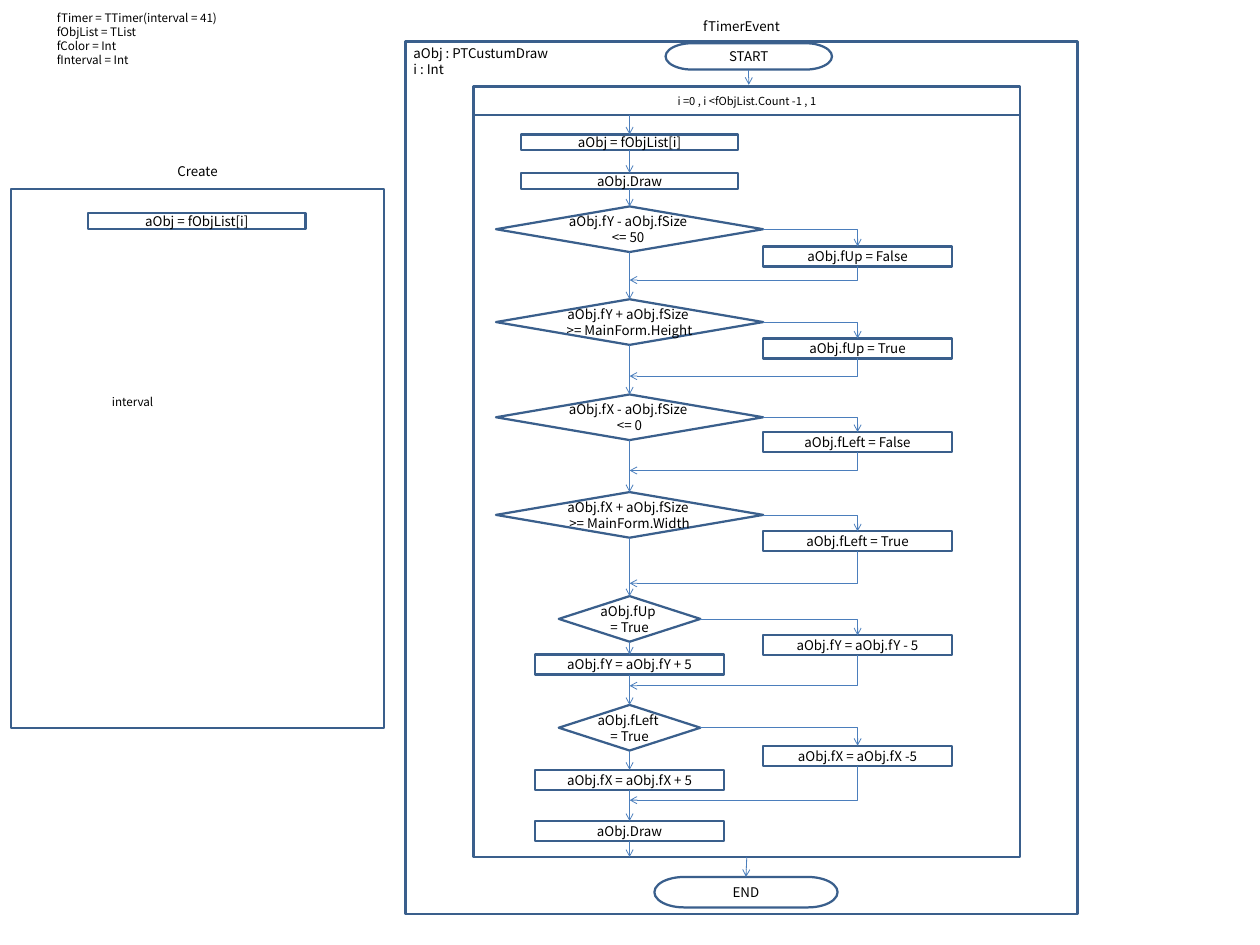
"""Build the flowchart slide of the timer event and its Create panel."""
from lxml import etree
from pptx import Presentation
from pptx.dml.color import RGBColor
from pptx.enum.shapes import MSO_CONNECTOR, MSO_SHAPE
from pptx.enum.text import MSO_ANCHOR, PP_ALIGN
from pptx.oxml.ns import qn
from pptx.util import Inches, Pt

RECT = MSO_SHAPE.RECTANGLE
DECISION = MSO_SHAPE.FLOWCHART_DECISION
TERMINATOR = MSO_SHAPE.FLOWCHART_TERMINATOR
STRAIGHT, ELBOW = MSO_CONNECTOR.STRAIGHT, MSO_CONNECTOR.ELBOW
LEFT, CENTER = PP_ALIGN.LEFT, PP_ALIGN.CENTER
TOP, MIDDLE = MSO_ANCHOR.TOP, MSO_ANCHOR.MIDDLE
TOP_SITE, BOTTOM_SITE, RIGHT_SITE = 0, 2, 3
COLORS = {"outline": "3A5F8C", "arrow": "4B7EBC", "text": "000000"}
FONT = "Noto Sans CJK KR"

prs = Presentation()
prs.slide_width, prs.slide_height = Inches(15.75), Inches(11.81)
slide = prs.slides.add_slide(prs.slide_layouts[6])


def add_block(text, left, top, width, height, kind=None, size=12,
              align=CENTER, anchor=MIDDLE, inset=(0, 0)):
    """Add an outlined shape, or a text box when kind is None."""
    place = [Inches(v) for v in (left, top, width, height)]
    if kind is None:
        block = slide.shapes.add_textbox(*place)
    else:
        block = slide.shapes.add_shape(kind, *place)
        block.shadow.inherit = False
        block.fill.background()
        block.line.color.rgb = RGBColor.from_string(COLORS["outline"])
        block.line.width = Pt(2)
    frame = block.text_frame
    frame.word_wrap = True
    frame.vertical_anchor = anchor
    frame.margin_left = frame.margin_right = Inches(inset[0])
    frame.margin_top = frame.margin_bottom = Inches(inset[1])
    for number, words in enumerate(text.split("\n") if text else []):
        paragraph = frame.add_paragraph() if number else frame.paragraphs[0]
        paragraph.alignment = align
        paragraph.line_spacing = Pt(size * 1.2)
        run = paragraph.add_run()
        run.text = words
        run.font.size = Pt(size)
        run.font.name = FONT
        run.font.color.rgb = RGBColor.from_string(COLORS["text"])
        east_asian = etree.SubElement(run.font._element, qn("a:ea"))
        east_asian.set("typeface", FONT)
    return block


def add_arrow(start, end, bend=None, source=None, target=None):
    """Add an arrow; bend is None, "down" (right, then down) or "back" (down, then left)."""
    (x1, y1), (x2, y2) = start, end
    arrow = slide.shapes.add_connector(ELBOW if bend else STRAIGHT,
                                       *[Inches(v) for v in (x1, y1, x2, y2)])
    arrow.line.color.rgb = RGBColor.from_string(COLORS["arrow"])
    arrow.line.width = Pt(0.75)
    if source:
        arrow.begin_connect(source, RIGHT_SITE if bend else BOTTOM_SITE)
    if target:
        arrow.end_connect(target, TOP_SITE)
    properties = arrow._element.spPr
    if bend:
        properties.find(qn("a:prstGeom")).set("prst", "bentConnector2")
    if bend == "back":
        across, down = x1 - x2, y2 - y1
        transform = properties.find(qn("a:xfrm"))
        transform.attrib.pop("flipH", None)
        transform.set("rot", str(90 * 60000))
        arrow.left = Inches((x1 + x2 - down) / 2)
        arrow.top = Inches((y1 + y2 - across) / 2)
        arrow.width, arrow.height = Inches(down), Inches(across)
    head = etree.SubElement(properties.find(qn("a:ln")), qn("a:tailEnd"))
    head.set("type", "arrow")
    etree.SubElement(properties, qn("a:effectLst"))


add_block("fTimer = TTimer(interval = 41)\nfObjList = TList\nfColor = Int\nfInterval = Int",
          0.71, 0.14, 2.43, 0.71, size=10.5, align=LEFT, anchor=TOP)
add_block("interval", 1.4, 4.93, 2.43, 0.18, size=10.5, align=LEFT, anchor=TOP)
add_block("Create", 0.14, 1.93, 4.66, 0.43)
add_block("", 0.14, 2.36, 4.66, 6.74, RECT)
add_block("aObj = fObjList[i]", 1.1, 2.66, 2.72, 0.2, RECT)

add_block("fTimerEvent", 5.07, 0.16, 8.4, 0.33)
add_block("", 5.07, 0.52, 8.4, 10.9, RECT)
add_block("aObj : PTCustumDraw\ni : Int", 5.07, 0.52, 2.08, 0.37,
          align=LEFT, anchor=TOP, inset=(0.1, 0.05))
start_block = add_block("START", 8.32, 0.54, 2.08, 0.33, TERMINATOR)
add_block("i =0 , i <fObjList.Count -1 , 1", 5.92, 1.08, 6.83, 0.36, RECT, size=10)
loop_body = add_block("", 5.92, 1.44, 6.83, 9.27, RECT)
end_block = add_block("END", 8.18, 10.96, 2.29, 0.38, TERMINATOR)
add_arrow((9.36, 0.87), (9.36, 1.06), source=start_block)
add_arrow((9.33, 10.71), (9.33, 10.96), source=loop_body, target=end_block)

SPINE, SIDE = 7.87, 10.72
SIDE_WIDTH, SIDE_HEIGHT = 2.36, 0.25
ACTION, UPDATE = (RECT, 2.72, 0.2), (RECT, SIDE_WIDTH, SIDE_HEIGHT)
LIMIT, DIRECTION = (DECISION, 3.34, 0.57), (DECISION, 1.77, 0.57)

# Each step: text, style, top, then side text, side top and merge height
steps = [
    ("aObj = fObjList[i]", ACTION, 1.68, None),
    ("aObj.Draw", ACTION, 2.16, None),
    ("aObj.fY - aObj.fSize \n<= 50 ", LIMIT, 2.58, ("aObj.fUp = False", 3.08, 3.5)),
    ("aObj.fY + aObj.fSize \n>= MainForm.Height", LIMIT, 3.74, ("aObj.fUp = True", 4.23, 4.7)),
    ("aObj.fX - aObj.fSize \n<= 0", LIMIT, 4.93, ("aObj.fLeft = False", 5.4, 5.88)),
    ("aObj.fX + aObj.fSize \n>= MainForm.Width", LIMIT, 6.15, ("aObj.fLeft = True", 6.64, 7.29)),
    ("aObj.fUp \n= True", DIRECTION, 7.45, ("aObj.fY = aObj.fY - 5", 7.94, 8.57)),
    ("aObj.fY = aObj.fY + 5", UPDATE, 8.18, None),
    ("aObj.fLeft \n= True", DIRECTION, 8.81, ("aObj.fX = aObj.fX -5", 9.32, 10)),
    ("aObj.fX = aObj.fX + 5", UPDATE, 9.62, None),
    ("aObj.Draw", UPDATE, 10.26, None),
]

previous, previous_bottom = None, 1.44
for text, (kind, width, height), top, branch in steps:
    step = add_block(text, SPINE - width / 2, top, width, height, kind,
                     inset=(0, 0.01 if kind == DECISION else 0))
    add_arrow((SPINE, previous_bottom), (SPINE, top), source=previous, target=step)
    previous, previous_bottom = step, top + height
    if branch:
        side_text, side_top, merge = branch
        side = add_block(side_text, SIDE - SIDE_WIDTH / 2, side_top,
                         SIDE_WIDTH, SIDE_HEIGHT, RECT)
        add_arrow((SPINE + width / 2, top + height / 2), (SIDE, side_top),
                  "down", step, side)
        add_arrow((SIDE, side_top + SIDE_HEIGHT), (SPINE, merge), "back")
add_arrow((SPINE, previous_bottom), (SPINE, 10.71), source=previous)

prs.save("out.pptx")
